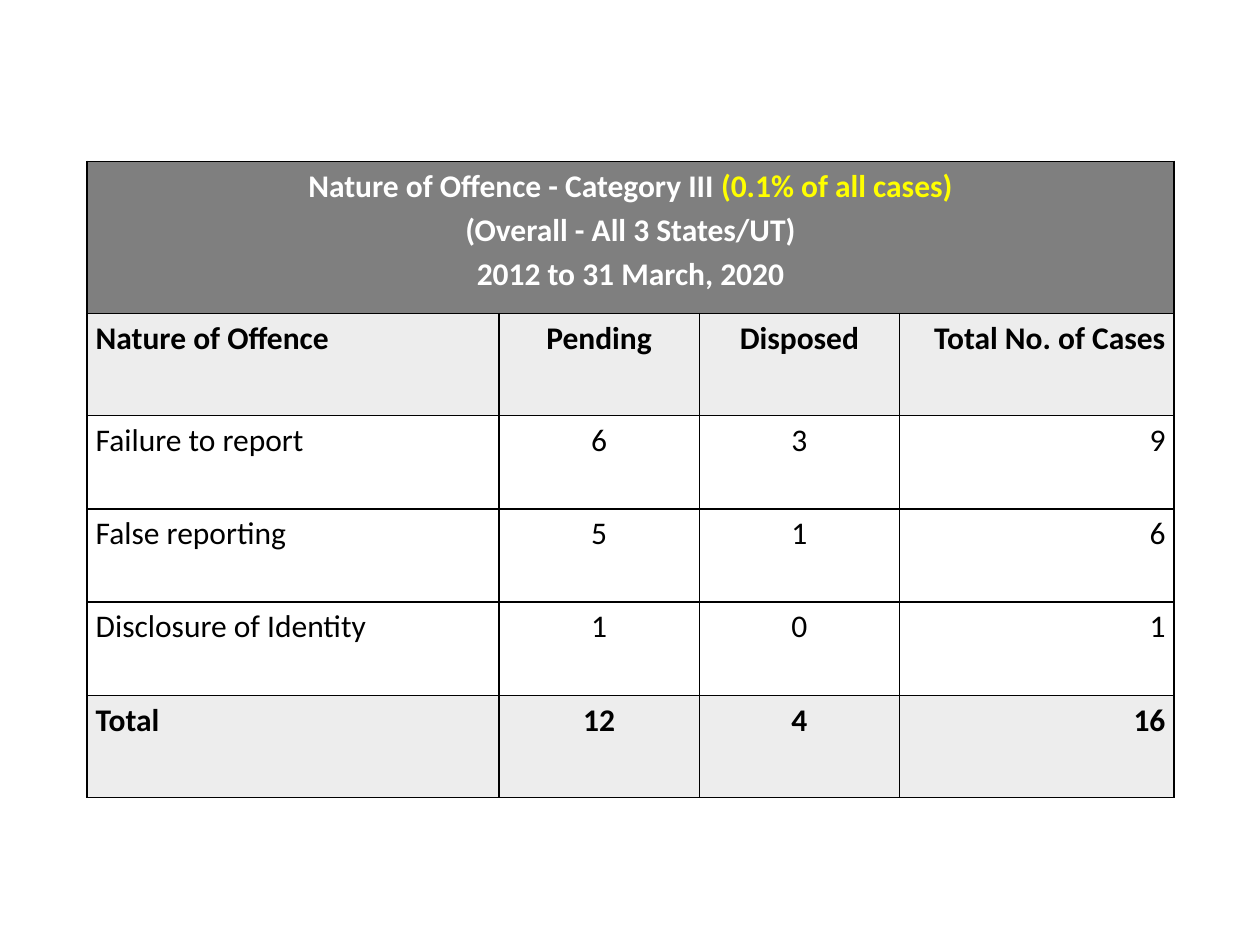
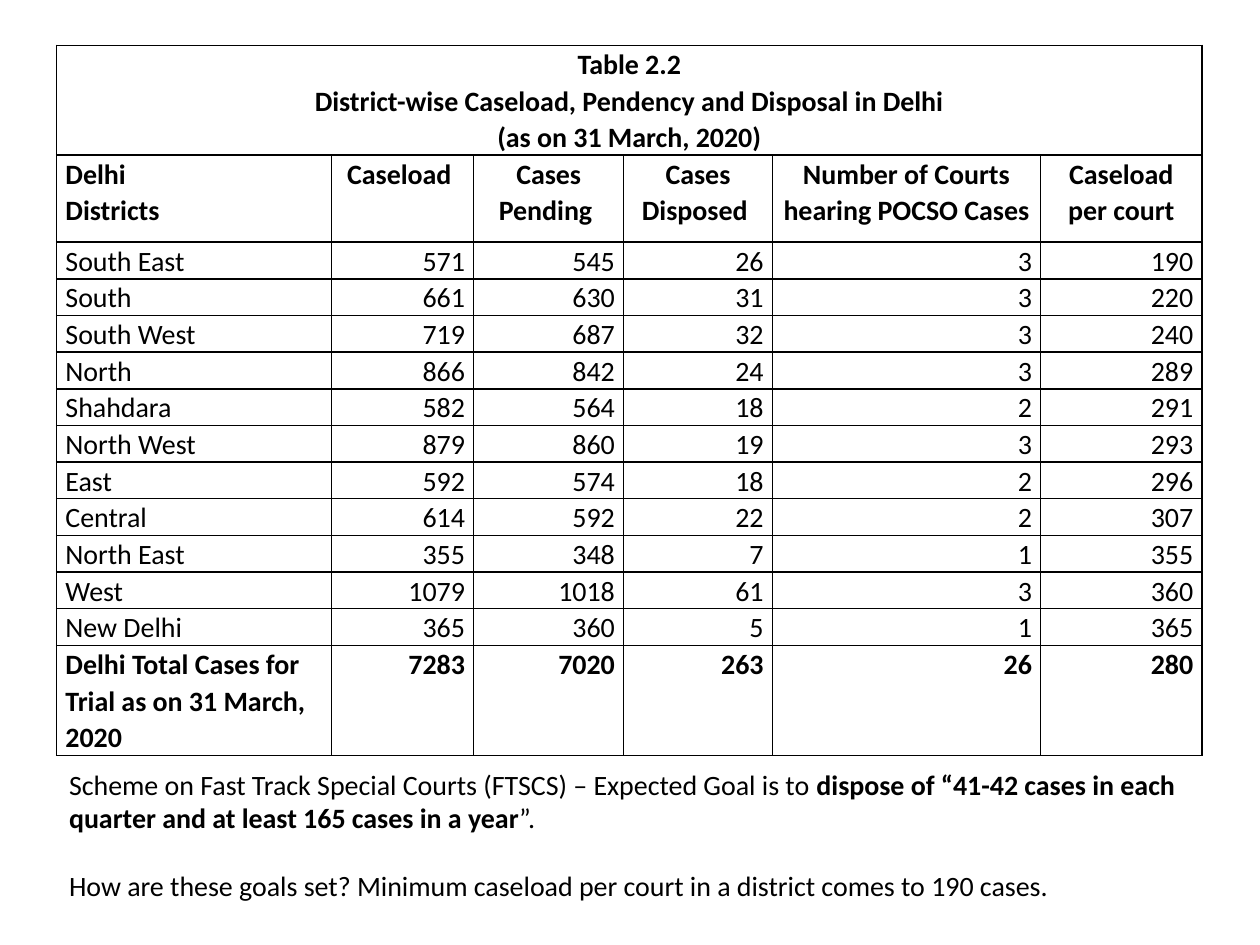
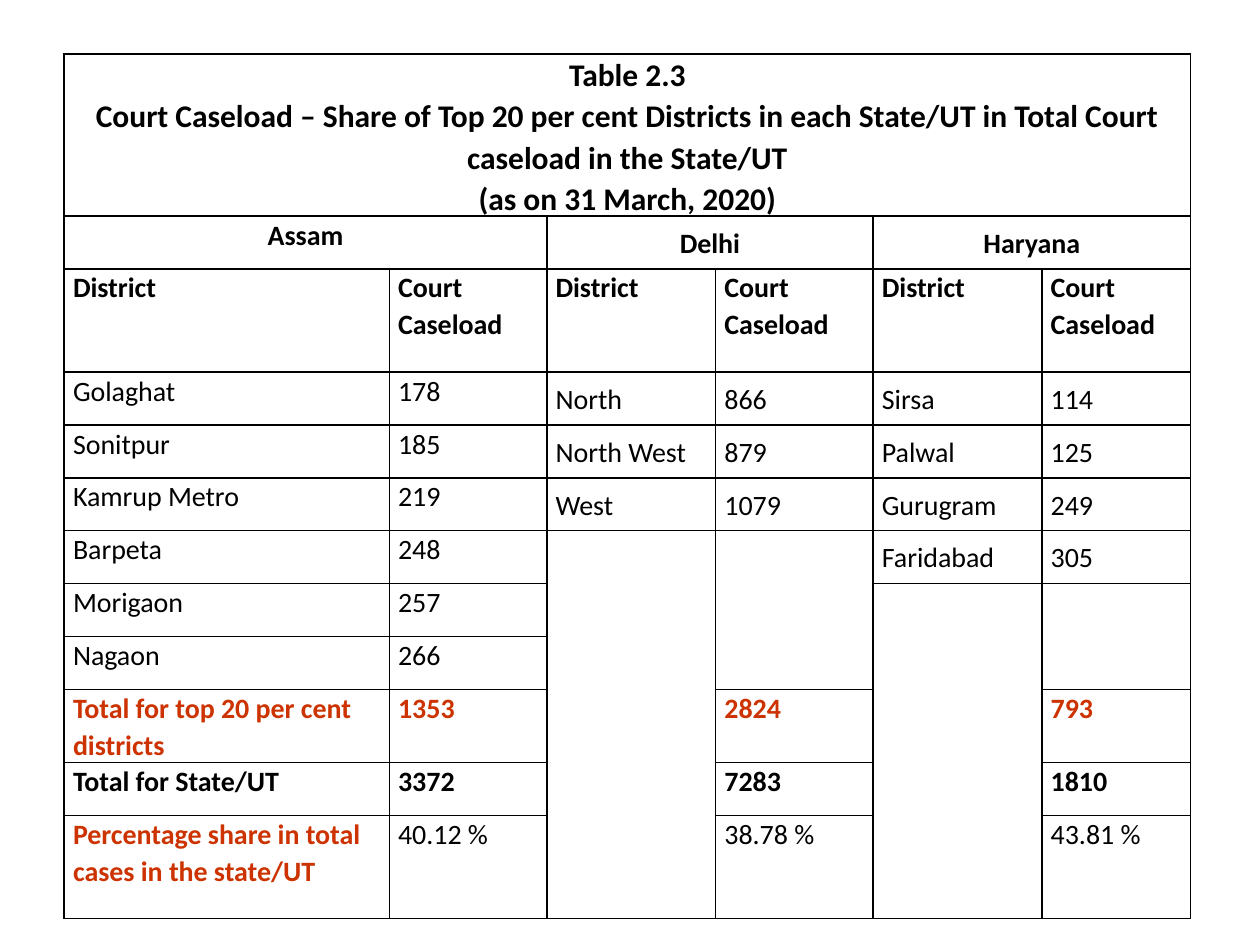
"""Builds three slides of court case tables."""
from lxml import etree
from pptx import Presentation
from pptx.dml.color import RGBColor
from pptx.enum.text import MSO_ANCHOR, MSO_AUTO_SIZE, PP_ALIGN
from pptx.oxml.ns import qn
from pptx.util import Inches, Pt

ALIGN = {"l": PP_ALIGN.LEFT, "c": PP_ALIGN.CENTER, "r": PP_ALIGN.RIGHT}
TOP, MIDDLE = MSO_ANCHOR.TOP, MSO_ANCHOR.MIDDLE
GROW = MSO_AUTO_SIZE.SHAPE_TO_FIT_TEXT
FONT = "Calibri"
BLACK, WHITE, YELLOW, RED = "000000", "FFFFFF", "FFFF00", "CC3300"
DARK, LIGHT = "7F7F7F", "EDEDED"
COLUMNS, ROWS = 100, 75
BORDER_SIDES = ("a:lnL", "a:lnR", "a:lnT", "a:lnB")


def grid(count):
    """Return the length of a number of grid steps."""
    return Inches(count * 0.1)


def paint(target, color):
    """Set a colour format from a hex string."""
    target.rgb = RGBColor.from_string(color)


def write(frame, paragraphs, align="l", spacing=1.0, after=0, **style):
    """Fill a text frame; a paragraph is a string or a list of (text, style) spans."""
    for index, spans in enumerate(paragraphs):
        para = frame.paragraphs[0] if index == 0 else frame.add_paragraph()
        para.alignment = ALIGN[align]
        para.line_spacing = spacing
        para.space_after = Pt(after if index < len(paragraphs) - 1 else 0)
        for text, own in [(spans, {})] if isinstance(spans, str) else spans:
            look = {"size": 16, "bold": False, "color": BLACK, **style, **own}
            for number, line in enumerate(text.split("\n")):
                if number:
                    para.add_line_break()
                span = para.add_run()
                span.text = line
                span.font.name = FONT
                span.font.size = Pt(look["size"])
                span.font.bold = look["bold"]
                paint(span.font.color, look["color"])


class Deck:
    """Holds the presentation, its style and the current slide."""

    def __init__(self):
        """Start an empty deck."""
        self.file = Presentation()
        self.file.slide_width, self.file.slide_height = grid(COLUMNS), grid(ROWS)
        self.page = None

    def add_page(self):
        """Begin a blank slide."""
        self.page = self.file.slides.add_slide(self.file.slide_layouts[6])

    def add_note(self, left, top, width, height, paragraphs, **style):
        """Add a wrapped text box."""
        box = self.page.shapes.add_textbox(*map(grid, (left, top, width, height)))
        box.text_frame.word_wrap = True
        box.text_frame.auto_size = GROW
        write(box.text_frame, paragraphs, **style)

    def add_border(self, cell):
        """Draw a thin line on all sides of a cell."""
        properties = cell._tc.get_or_add_tcPr()
        for side in BORDER_SIDES:
            line = etree.SubElement(properties, qn(side), w=str(Pt(1)))
            fill = etree.SubElement(line, qn("a:solidFill"))
            etree.SubElement(fill, qn("a:srgbClr"), val=BLACK)

    def add_table(self, left, top, widths, heights, rows, style_of, merges):
        """Add a bordered table whose cells are styled by style_of(row, column)."""
        table = self.page.shapes.add_table(
            len(heights), len(widths), grid(left), grid(top),
            grid(sum(widths)), grid(sum(heights))).table
        table.first_row = table.horz_banding = False
        for column, width in zip(table.columns, widths):
            column.width = grid(width)
        for row, height in zip(table.rows, heights):
            row.height = grid(height)
        for row, column, tall, wide in merges:
            table.cell(row, column).merge(table.cell(row + tall - 1, column + wide - 1))
        for row in range(len(heights)):
            for column in range(len(widths)):
                self.fill_cell(table.cell(row, column), rows[row][column:column + 1],
                               **style_of(row, column))

    def fill_cell(self, cell, content, fill=None, anchor=TOP, **style):
        """Set the border, fill, margins and text of a cell."""
        self.add_border(cell)
        if fill:
            cell.fill.solid()
            paint(cell.fill.fore_color, fill)
        else:
            cell.fill.background()
        cell.margin_left = cell.margin_right = Inches(0.07)
        cell.margin_top = cell.margin_bottom = 0
        cell.vertical_anchor = anchor
        if content and content[0]:
            text = content[0]
            write(cell.text_frame, [text] if isinstance(text, str) else text, **style)


def add_offences(deck):
    """Build the table of offences in category III."""
    rows = [
        [[[("Nature of Offence - Category III ", {}),
           ("(0.1% of all cases)", {"color": YELLOW})],
          "(Overall - All 3 States/UT)", "2012 to 31 March, 2020"]],
        ["Nature of Offence", "Pending", "Disposed", "Total No. of Cases"],
        ["Failure to report", "6", "3", "9"],
        ["False reporting", "5", "1", "6"],
        ["Disclosure of Identity", "1", "0", "1"],
        ["Total", "12", "4", "16"],
    ]

    def style_of(row, column):
        """Shade the title, header and total rows."""
        strong = row in (0, 1, 5)
        return {"size": 18, "spacing": 1.15, "bold": strong,
                "align": "lccr"[column] if row else "c",
                "color": BLACK if row else WHITE,
                "fill": (LIGHT if row else DARK) if strong else None}

    deck.add_page()
    deck.add_table(6.9, 12.8, [32.7, 15.9, 15.9, 21.8],
                   [12.1, 8.1, 7.4, 7.4, 7.4, 8.1], rows, style_of, [(0, 0, 1, 4)])


def add_districts(deck):
    """Build the table of caseload by district, with its note."""
    rows = [
        [["Table 2.2", "District-wise Caseload, Pendency and Disposal in Delhi",
          "(as on 31 March, 2020)"]],
        ["Delhi \nDistricts", "Caseload ", "Cases Pending ", "Cases Disposed ",
         "Number of Courts hearing POCSO Cases ", "Caseload per court"],
        ["South East", "571", "545", "26", "3", "190"],
        ["South", "661", "630", "31", "3", "220"],
        ["South West", "719", "687", "32", "3", "240"],
        ["North", "866", "842", "24", "3", "289"],
        ["Shahdara", "582", "564", "18", "2", "291"],
        ["North West", "879", "860", "19", "3", "293"],
        ["East", "592", "574", "18", "2", "296"],
        ["Central", "614", "592", "22", "2", "307"],
        ["North East", "355", "348", "7", "1", "355"],
        ["West", "1079", "1018", "61", "3", "360"],
        ["New Delhi", "365", "360", "5", "1", "365"],
        ["Delhi Total Cases for Trial as on 31 March, 2020",
         "7283", "7020", "263", "26", "280"],
    ]
    last = len(rows) - 1

    def style_of(row, column):
        """Centre the headings and set the numbers to the right."""
        align = "c" if row == 0 else "l" if column == 0 else "c" if row == 1 else "r"
        return {"spacing": 1.07, "bold": row in (0, 1, last), "align": align}

    deck.add_page()
    deck.add_table(4.5, 3.6, [21.8, 11.3, 11.9, 11.8, 21.3, 12.8],
                   [8.1, 6.9] + [2.8] * 11 + [7.9], rows, style_of, [(0, 0, 1, 6)])
    deck.add_note(4.5, 60.4, 91, 11.8, [
        [("Scheme on Fast Track Special Courts (FTSCS) – Expected Goal is to ", {}),
         ("dispose of “41-42 cases in each quarter and at least 165 cases in a year",
          {"bold": True}),
         ("”.", {})],
        "How are these goals set? Minimum caseload per court in a district "
        "comes to 190 cases.",
    ], after=19.5)


def add_shares(deck):
    """Build the table of the top districts' share in each state."""
    rows = [
        [["Table 2.3",
          "Court Caseload – Share of Top 20 per cent Districts in each State/UT "
          "in Total Court caseload in the State/UT",
          "(as on 31 March, 2020)"]],
        ["Assam", None, "Delhi", None, "Haryana"],
        ["District", "Court Caseload"] * 3,
        ["Golaghat", "178", "North", "866", "Sirsa", "114"],
        ["Sonitpur", "185", "North West", "879", "Palwal", "125"],
        ["Kamrup Metro", "219", "West", "1079", "Gurugram", "249"],
        ["Barpeta", "248", None, None, "Faridabad", "305"],
        ["Morigaon", "257"],
        ["Nagaon", "266"],
        ["Total for top 20 per cent districts", "1353", None, "2824", None, "793"],
        ["Total for State/UT", "3372", None, "7283", None, "1810"],
        ["Percentage share in total cases in the state/UT",
         "40.12 %", None, "38.78 %", None, "43.81 %"],
    ]
    top_total, state_total, share = 9, 10, 11

    def style_of(row, column):
        """Mark the headings and totals."""
        share_label = row == share and column == 0
        return {"size": 16 if row else 18, "spacing": 1.07,
                "align": "c" if row < 2 else "l",
                "bold": row < 3 or row in (top_total, state_total) or share_label,
                "color": RED if row == top_total or share_label else BLACK,
                "anchor": MIDDLE if column > 1 and row in (1, 3, 4, 5, 6) else TOP}

    heads = [(1, column, 1, 2) for column in (0, 2, 4)]
    blanks = [(6, 2, 6, 1), (6, 3, 3, 1), (7, 4, 5, 1), (7, 5, 2, 1)]
    deck.add_page()
    deck.add_table(5.1, 4.3, [25.8, 12.5, 13.4, 12.5, 13.4, 11.8],
                   [12.3, 4.2, 8.2] + [4.2] * 6 + [5.8, 4.2, 8.2],
                   rows, style_of, [(0, 0, 1, 6)] + heads + blanks)


def main():
    """Build and save the deck."""
    deck = Deck()
    add_offences(deck)
    add_districts(deck)
    add_shares(deck)
    deck.file.save("out.pptx")


if __name__ == "__main__":
    main()
